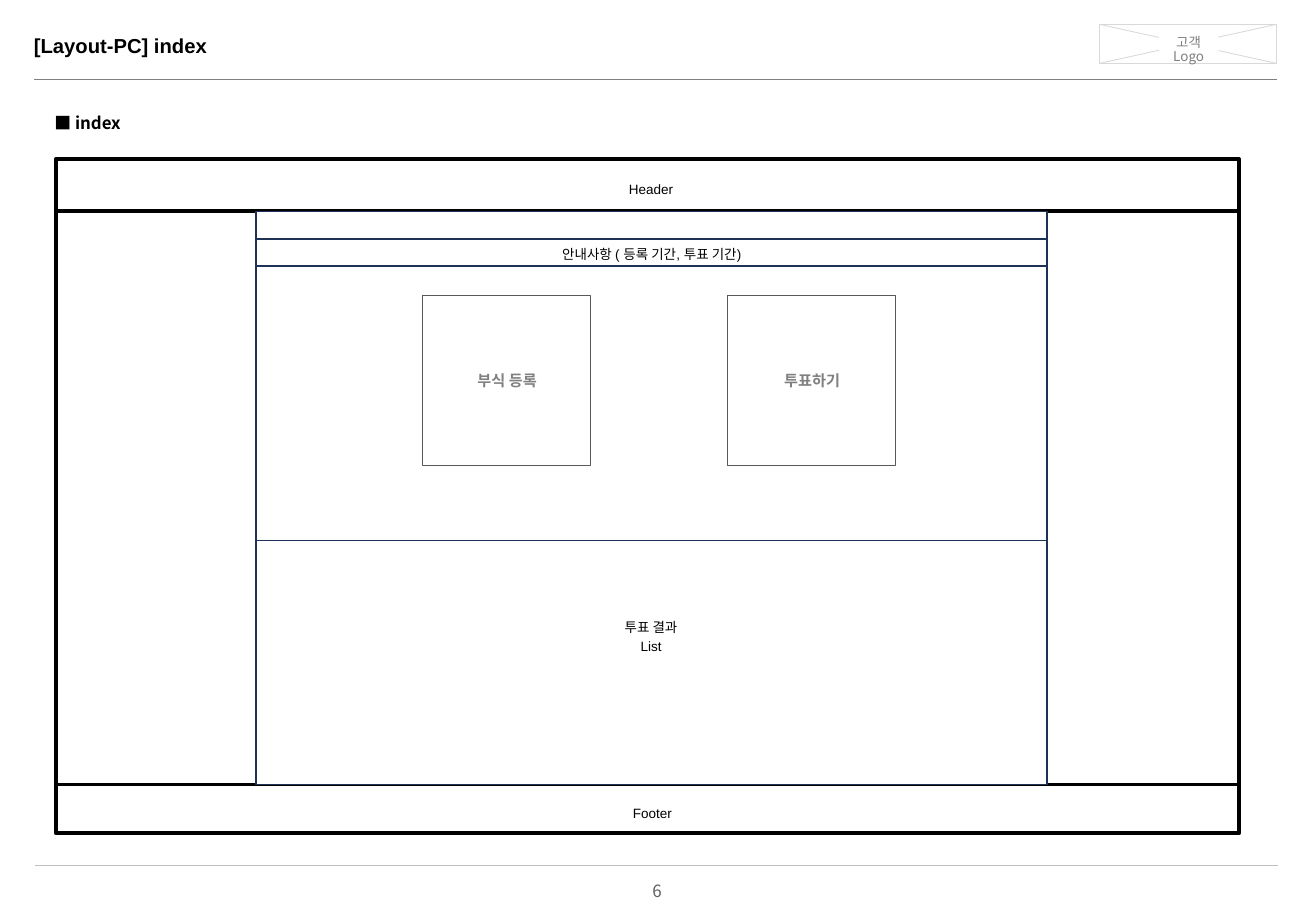
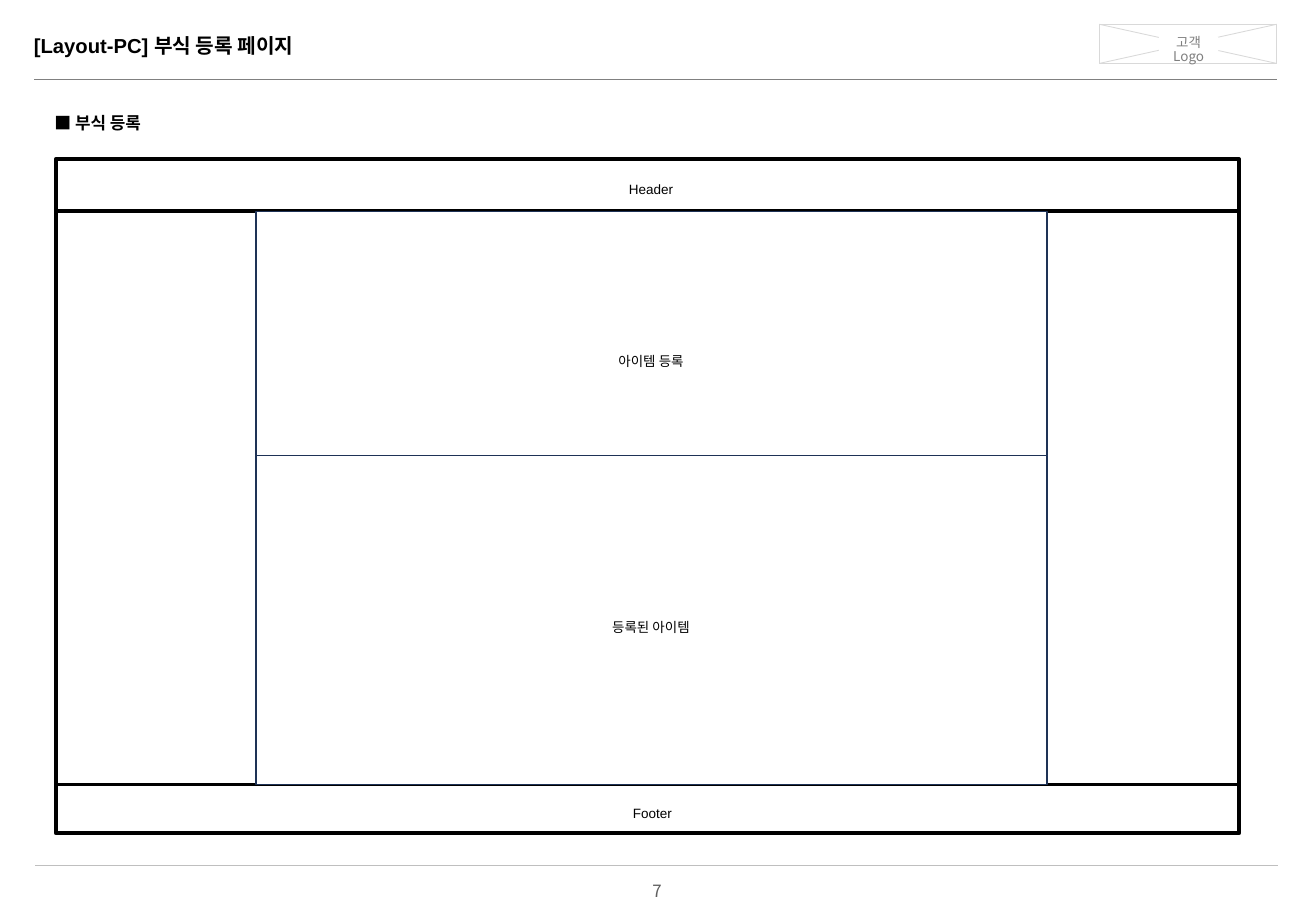
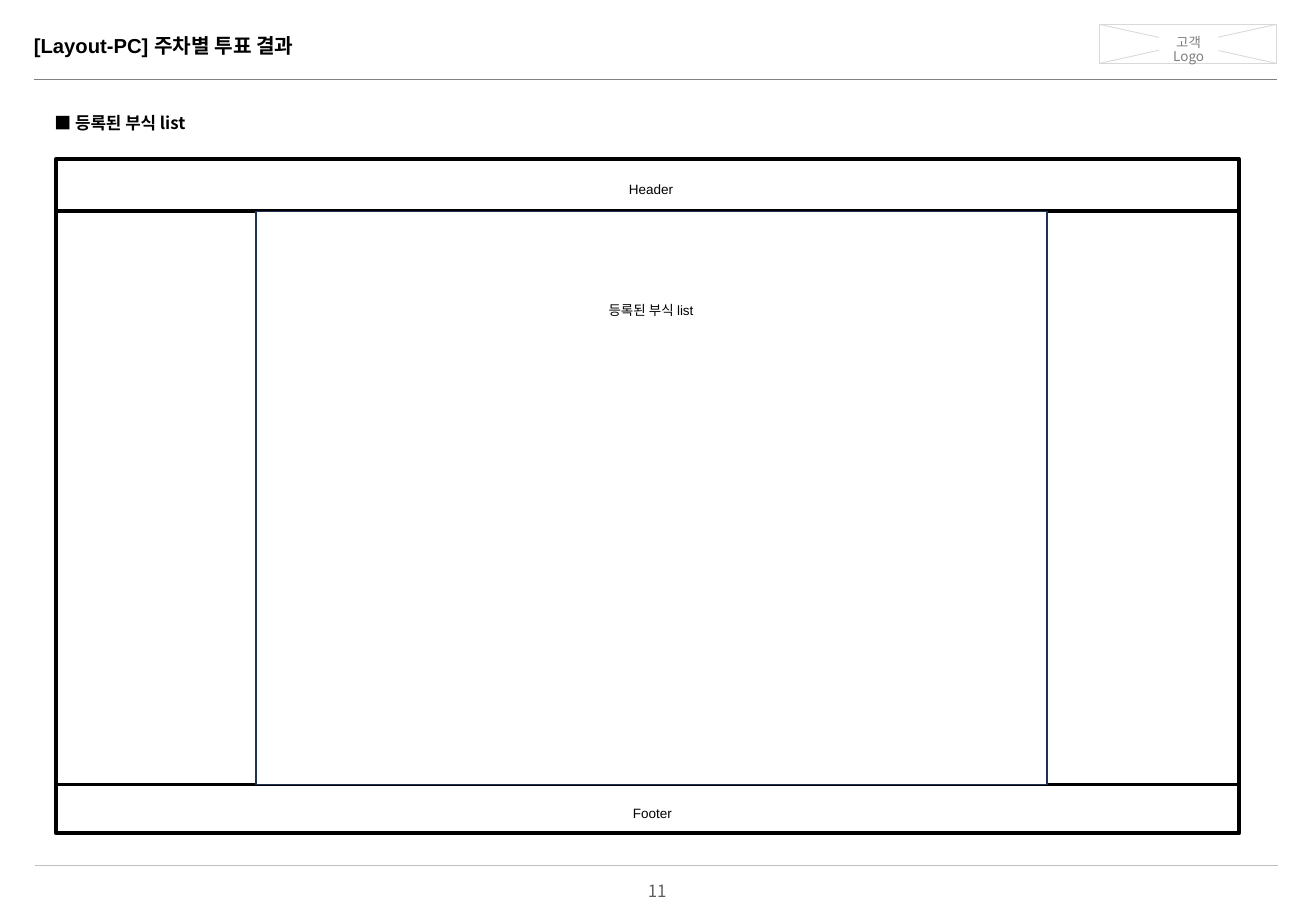
"""Build three wireframe slides for a voting site's page layouts."""
from dataclasses import dataclass

from lxml.etree import SubElement
from pptx import Presentation
from pptx.dml.color import RGBColor
from pptx.enum.shapes import MSO_CONNECTOR, MSO_SHAPE
from pptx.enum.text import MSO_ANCHOR, PP_ALIGN
from pptx.oxml.ns import qn
from pptx.util import Pt


@dataclass(frozen=True)
class Theme:
    """Colours, fonts and type sizes of the deck."""

    white: str = "FFFFFF"
    black: str = "000000"
    navy: str = "1E3256"
    card_line: str = "595959"
    card_text: str = "808080"
    logo_line: str = "D9D9D9"
    logo_text: str = "7F7F7F"
    title_rule: str = "808080"
    footer_rule: str = "BFBFBF"
    page_number: str = "5F5F5F"
    latin: str = "Arial"
    korean: str = "Noto Sans CJK KR"
    title_size: float = 12
    heading_size: float = 10
    card_size: float = 9
    label_size: float = 8


WIDTH, HEIGHT = 780, 540
FRAME_LEFT, FRAME_TOP, FRAME_WIDTH, FRAME_HEIGHT = 33.1, 94.3, 701.4, 399.6
BODY_LEFT, BODY_WIDTH = 151.9, 468.7
BODY_TOP, BODY_BOTTOM = 125.3, 465.1
LABEL_LEFT, LABEL_WIDTH = 336.2, 99.4


def write(frame, text, *, size, color, font, bold=False, align=PP_ALIGN.LEFT,
          anchor=MSO_ANCHOR.TOP, spacing=None, insets=(0, 0), wrap=True):
    """Fill a text frame, one paragraph per line of text."""
    frame.word_wrap = wrap
    frame.vertical_anchor = anchor
    frame.margin_left = frame.margin_right = Pt(insets[0])
    frame.margin_top = frame.margin_bottom = Pt(insets[1])
    for index, line in enumerate(text.split("\n")):
        para = frame.paragraphs[0] if index == 0 else frame.add_paragraph()
        para.alignment = align
        if spacing:
            para.line_spacing = spacing
        span = para.add_run()
        span.text = line
        span.font.size = Pt(size)
        span.font.bold = bold
        span.font.color.rgb = RGBColor.from_string(color)
        span.font.name = font
        east_asian = SubElement(span.font._element, qn("a:ea"))
        east_asian.set("typeface", Theme.korean)


class Wireframe:
    """Holds the deck, its theme and the slide being drawn."""

    def __init__(self, theme):
        """Start an empty deck."""
        self.theme = theme
        self.deck = Presentation()
        self.deck.slide_width, self.deck.slide_height = Pt(WIDTH), Pt(HEIGHT)
        self.page = None

    def text(self, left, top, width, height, text, **style):
        """Add a text box."""
        box = self.page.shapes.add_textbox(Pt(left), Pt(top), Pt(width), Pt(height))
        write(box.text_frame, text, **style)

    def rectangle(self, left, top, width, height, line=None, weight=1.0):
        """Add a white rectangle, outlined if a line colour is given."""
        box = self.page.shapes.add_shape(
            MSO_SHAPE.RECTANGLE, Pt(left), Pt(top), Pt(width), Pt(height))
        box.shadow.inherit = False
        box.fill.solid()
        box.fill.fore_color.rgb = RGBColor.from_string(self.theme.white)
        if line:
            box.line.color.rgb = RGBColor.from_string(line)
            box.line.width = Pt(weight)
        else:
            box.line.fill.background()
        return box

    def line(self, left, top, right, bottom, color, weight):
        """Add a straight line."""
        rule = self.page.shapes.add_connector(
            MSO_CONNECTOR.STRAIGHT, Pt(left), Pt(top), Pt(right), Pt(bottom))
        rule.line.color.rgb = RGBColor.from_string(color)
        rule.line.width = Pt(weight)
        SubElement(rule._element.spPr, qn("a:effectLst"))

    def label(self, top, text, left=LABEL_LEFT):
        """Add a centred area label."""
        height = 11.2 * len(text.split("\n"))
        self.text(left, top, LABEL_WIDTH, height, text, **self.label_style())

    def label_style(self):
        """Return the format of area labels."""
        theme = self.theme
        return dict(size=theme.label_size, color=theme.black, font=theme.latin,
                    align=PP_ALIGN.CENTER, spacing=1.2)

    def area(self, top, bottom):
        """Add an outlined area across the body column."""
        return self.rectangle(BODY_LEFT, top, BODY_WIDTH, bottom - top, self.theme.navy)

    def notice(self, top, bottom, text):
        """Add a body area with its text centred inside."""
        box = self.area(top, bottom)
        write(box.text_frame, text, anchor=MSO_ANCHOR.MIDDLE, insets=(7.2, 3.6),
              **self.label_style())

    def card(self, left, top, text):
        """Add a button card with its caption."""
        theme = self.theme
        self.rectangle(left, top, 99.4, 100.8, theme.card_line, 0.5)
        caption = self.rectangle(left + 3.2, top + 41.8, 93.6, 16.6)
        write(caption.text_frame, text, size=theme.card_size, color=theme.card_text,
              font=theme.korean, bold=True, align=PP_ALIGN.CENTER,
              anchor=MSO_ANCHOR.MIDDLE, insets=(0, 2.9))

    def logo(self):
        """Add the crossed logo placeholder."""
        theme = self.theme
        left, top, width, height = 651.6, 14.4, 105.1, 23.2
        right, bottom = left + width, top + height
        self.rectangle(left, top, width, height, theme.logo_line, 0.5)
        self.line(left, bottom, right, top, theme.logo_line, 0.5)
        self.line(right, bottom, left, top, theme.logo_line, 0.5)
        caption = self.rectangle(686.9, 21.6, 35.3, 9.4)
        write(caption.text_frame, "고객\nLogo", size=theme.label_size,
              color=theme.logo_text, font=theme.korean, align=PP_ALIGN.CENTER,
              spacing=0.85, wrap=False)

    def start(self, number, title, heading):
        """Add a slide with title, rules, logo, page frame and heading."""
        theme = self.theme
        self.page = self.deck.slides.add_slide(self.deck.slide_layouts[6])
        self.text(370.8, 522, 37.4, 15.8, str(number), size=theme.heading_size,
                  color=theme.page_number, font=theme.korean, align=PP_ALIGN.CENTER)
        self.line(20.9, 512.6, 757.4, 512.6, theme.footer_rule, 0.25)
        self.line(20.2, 47.2, 756.7, 47.2, theme.title_rule, 0.25)
        self.logo()
        self.text(13, 15.8, 305.3, 22.3, title, size=theme.title_size,
                  color=theme.black, font=theme.latin, bold=True,
                  anchor=MSO_ANCHOR.MIDDLE, insets=(7.2, 3.6))
        self.rectangle(FRAME_LEFT, FRAME_TOP, FRAME_WIDTH, FRAME_HEIGHT, theme.black, 2.25)
        for top in (BODY_TOP, BODY_BOTTOM):
            self.line(FRAME_LEFT, top, FRAME_LEFT + FRAME_WIDTH, top, theme.black, 2.25)
        self.label(105.1, "Header")
        self.label(475.2, "Footer", left=LABEL_LEFT + 0.8)
        self.text(25.2, 63.4, 100, 19.4, heading, size=theme.heading_size,
                  color=theme.black, font=theme.korean, bold=True, insets=(7.2, 3.6))


def main():
    """Draw the three slides and save the deck."""
    wireframe = Wireframe(Theme())

    wireframe.start(6, "[Layout-PC] index", "■ index")
    wireframe.area(320.4, BODY_BOTTOM)
    wireframe.label(365, "투표 결과\nList")
    wireframe.area(BODY_TOP, 320.4)
    wireframe.notice(141.8, 157.7, "안내사항 ( 등록 기간, 투표 기간)")
    for column, caption in enumerate(("부식 등록", "투표하기")):
        wireframe.card(250.6 + 180.7 * column, 175.4, caption)

    wireframe.start(7, "[Layout-PC] 부식 등록 페이지", "■ 부식 등록")
    wireframe.area(270, BODY_BOTTOM)
    wireframe.label(365, "등록된 아이템")
    wireframe.area(BODY_TOP, 270)
    wireframe.label(207.4, "아이템 등록")

    wireframe.start(11, "[Layout-PC] 주차별 투표 결과", "■ 등록된 부식 list")
    wireframe.area(BODY_TOP, BODY_BOTTOM)
    wireframe.label(177.1, "등록된 부식 list")

    wireframe.deck.save("out.pptx")


if __name__ == "__main__":
    main()
